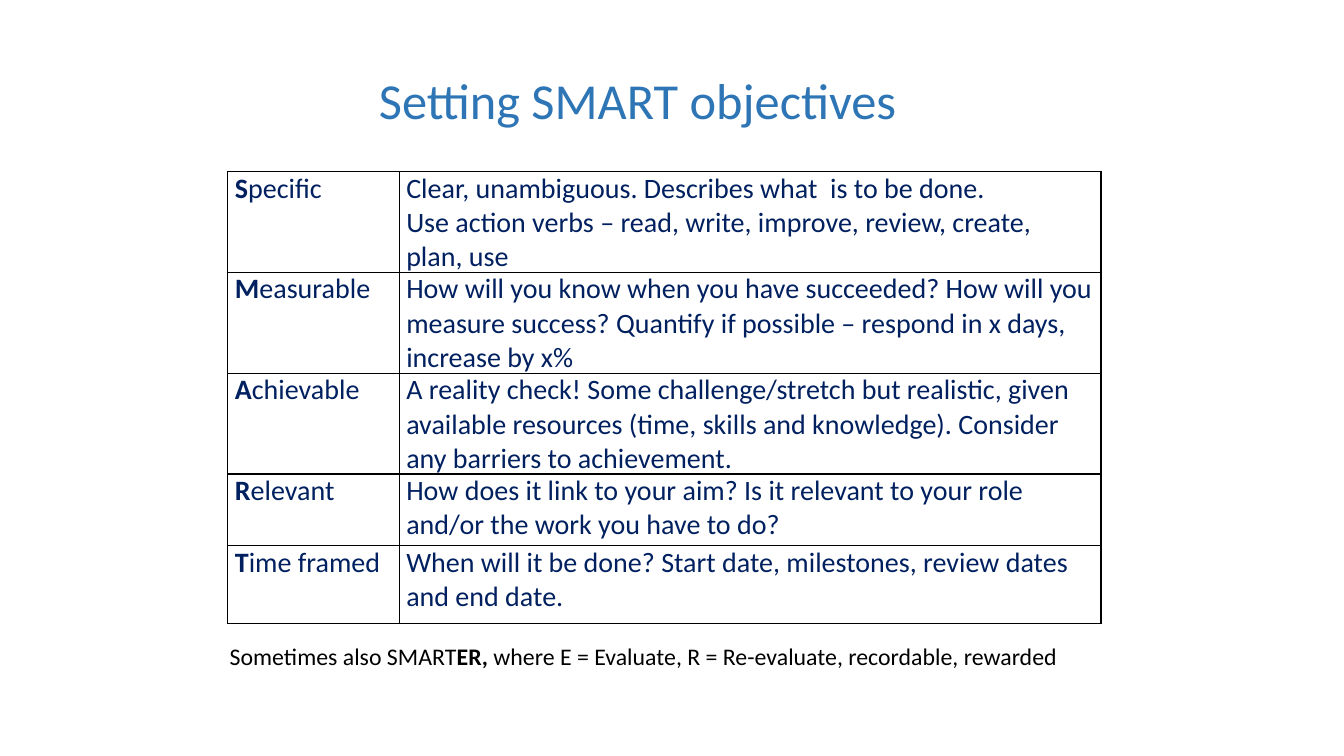
from lxml import etree
from pptx import Presentation
from pptx.dml.color import RGBColor
from pptx.enum import text as t
from pptx.oxml import ns
from pptx.util import Inches, Pt

COLORS = {"title": "2E75B6", "table": "002060", "note": "000000", "border": "000000"}
FONT = "Calibri"
COLUMN_WIDTHS = (1.7, 6.96)
OBJECTIVES = [
    ("Specific", 1, ["Clear, unambiguous. Describes what  is to be done.",
                     "Use action verbs – read, write, improve, review, create, plan, use"]),
    ("Measurable", 1, ["How will you know when you have succeeded? How will you measure "
                       "success? Quantify if possible – respond in x days, increase by x%"]),
    ("Achievable", 1, ["A reality check! Some challenge/stretch but realistic, given "
                       "available resources (time, skills and knowledge). Consider any "
                       "barriers to achievement."]),
    ("Relevant", 0.71, ["How does it link to your aim? Is it relevant to your role and/or "
                        "the work you have to do?"]),
    ("Time framed", 0.77, ["When will it be done? Start date, milestones, review dates and "
                           "end date."]),
]


def set_attributes(target, values):
    for name, value in values.items():
        setattr(target, name, value)


def write_paragraphs(frame, paragraphs, size, color, **layout):
    """Write paragraphs, each a list of (text, bold) runs, into a text frame."""
    for index, runs in enumerate(paragraphs):
        paragraph = frame.paragraphs[0] if index == 0 else frame.add_paragraph()
        set_attributes(paragraph, layout)
        for words, bold in runs:
            run = paragraph.add_run()
            run.text = words
            set_attributes(run.font, {"name": FONT, "size": Pt(size), "bold": bold})
            run.font.color.rgb = RGBColor.from_string(COLORS[color])


def add_text(slide, box, runs, size, color, anchor, alignment):
    frame = slide.shapes.add_textbox(*map(Inches, box)).text_frame
    set_attributes(frame, {"word_wrap": True, "vertical_anchor": anchor})
    write_paragraphs(frame, [runs], size, color, alignment=alignment, line_spacing=0.9)


def add_borders(cell):
    properties = cell._tc.get_or_add_tcPr()
    for side in ("lnL", "lnR", "lnT", "lnB"):
        line = etree.SubElement(properties, ns.qn(f"a:{side}"), w=str(Pt(1)))
        fill = etree.SubElement(line, ns.qn("a:solidFill"))
        etree.SubElement(fill, ns.qn("a:srgbClr"), val=COLORS["border"])


def format_cell(cell, paragraphs):
    set_attributes(cell, {"margin_left": Inches(0.07), "margin_right": Inches(0.07),
                          "margin_top": 0, "margin_bottom": 0})
    add_borders(cell)
    cell.fill.background()
    write_paragraphs(cell.text_frame, paragraphs, 20, "table")


def add_objectives(slide, left, top):
    height = sum(row_height for _, row_height, _ in OBJECTIVES)
    box = (left, top, sum(COLUMN_WIDTHS), height)
    table = slide.shapes.add_table(
        len(OBJECTIVES), len(COLUMN_WIDTHS), *map(Inches, box)).table
    set_attributes(table, {"first_row": False, "horz_banding": False})
    for column, width in zip(table.columns, COLUMN_WIDTHS):
        column.width = Inches(width)
    for row, (word, row_height, lines) in zip(table.rows, OBJECTIVES):
        row.height = Inches(row_height)
        format_cell(row.cells[0], [[(word[0], True), (word[1:], False)]])
        format_cell(row.cells[1], [[(line, False)] for line in lines])


def main():
    presentation = Presentation()
    set_attributes(presentation, {"slide_width": Inches(13.33), "slide_height": Inches(7.5)})
    slide = presentation.slides.add_slide(presentation.slide_layouts[6])
    add_text(slide, (2.38, 0.79, 7.89, 0.55), [("Setting SMART objectives", False)],
             36, "title", t.MSO_ANCHOR.BOTTOM, t.PP_ALIGN.CENTER)
    add_objectives(slide, 2.26, 1.7)
    note = [("Sometimes also SMART", False), ("ER, ", True),
            ("where E = Evaluate, R = Re-evaluate, recordable, rewarded", False)]
    add_text(slide, (2.18, 6.35, 8.66, 0.54), note,
             17, "note", t.MSO_ANCHOR.TOP, t.PP_ALIGN.LEFT)
    presentation.save("out.pptx")


if __name__ == "__main__":
    main()
